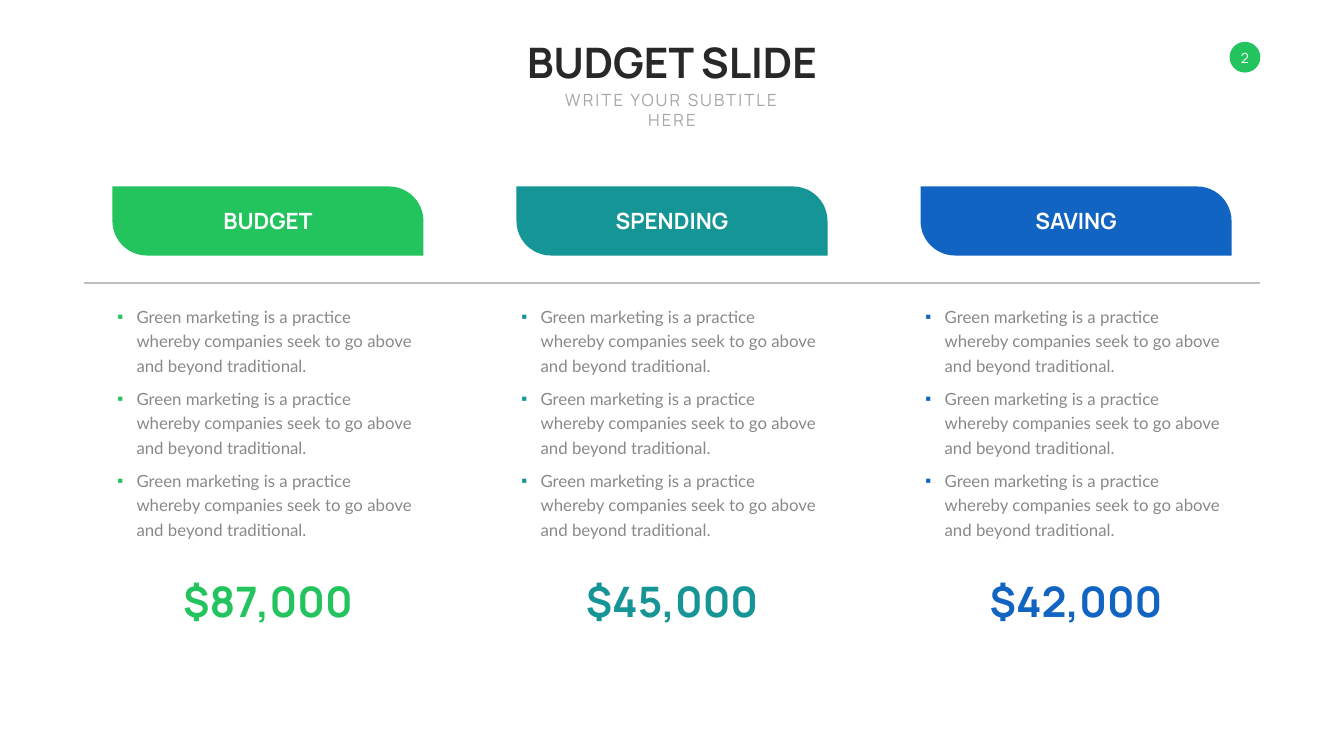
import pptx
import pptx.util
import pptx.dml.color
import pptx.enum.shapes
import pptx.enum.text
import pptx.oxml.ns
import lxml.etree

Inches = pptx.util.Inches
Pt = pptx.util.Pt
Align = pptx.enum.text.PP_ALIGN
Anchor = pptx.enum.text.MSO_ANCHOR
Shape = pptx.enum.shapes.MSO_SHAPE

COLORS = {
    "green": "23C35E", "teal": "159596", "blue": "1264C3", "white": "FFFFFF",
    "title": "272829", "subtitle": "A6A6A6", "rule": "BFBFBF", "body": "898989",
}
PAGE_NUMBER = "2"
TITLE = "BUDGET SLIDE"
SUBTITLE = "WRITE YOUR SUBTITLE HERE"
POINTS = ["Green marketing is a practice whereby companies seek to go above and beyond traditional."] * 3
COLUMNS = [
    {"heading": "BUDGET", "heading_width": 1.99, "amount": "$87,000", "amount_width": 3.64, "color": "green"},
    {"heading": "SPENDING", "heading_width": 2.48, "amount": "$45,000", "amount_width": 3.76, "color": "teal"},
    {"heading": "SAVING", "heading_width": 1.95, "amount": "$42,000", "amount_width": 3.7, "color": "blue"},
]

SLIDE_WIDTH, SLIDE_HEIGHT = 26.66, 15
CENTER = SLIDE_WIDTH / 2
COLUMN_WIDTH = 6.17
COLUMN_PITCH = 8.015
BULLET_INDENT = 0.38


def rgb(color):
    return pptx.dml.color.RGBColor.from_string(COLORS[color])


def add_child(parent, tag, **attributes):
    return lxml.etree.SubElement(parent, pptx.oxml.ns.qn(tag), attributes)


def add_run(paragraph, text, size, font, color, bold=False):
    run = paragraph.add_run()
    run.text = text
    run.font.size = Pt(size)
    run.font.name = font
    run.font.bold = bold
    run.font.color.rgb = rgb(color)
    return run


def add_frame(slide, left, top, width, height, wrap, anchor=Anchor.TOP):
    frame = slide.shapes.add_textbox(Inches(left), Inches(top), Inches(width), Inches(height)).text_frame
    frame.word_wrap = wrap
    frame.auto_size = pptx.enum.text.MSO_AUTO_SIZE.SHAPE_TO_FIT_TEXT
    frame.vertical_anchor = anchor
    return frame


def add_label(slide, text, center, top, width, height, size, color, bold=True, wrap=False, anchor=Anchor.MIDDLE):
    frame = add_frame(slide, center - width / 2, top, width, height, wrap, anchor)
    paragraph = frame.paragraphs[0]
    paragraph.alignment = Align.CENTER
    return frame, add_run(paragraph, text, size, "Manrope", color, bold)


def add_filled(slide, kind, left, top, width, height, color):
    shape = slide.shapes.add_shape(kind, Inches(left), Inches(top), Inches(width), Inches(height))
    shape.shadow.inherit = False
    shape.fill.solid()
    shape.fill.fore_color.rgb = rgb(color)
    shape.line.fill.background()
    return shape


def add_points(slide, left, color):
    frame = add_frame(slide, left, 5.95, COLUMN_WIDTH, 4.8, True)
    frame.margin_right = Inches(0.15)
    for index, point in enumerate(POINTS):
        paragraph = frame.add_paragraph() if index else frame.paragraphs[0]
        properties = paragraph._p.get_or_add_pPr()
        properties.set("marL", str(Inches(BULLET_INDENT)))
        properties.set("indent", str(-Inches(BULLET_INDENT)))
        add_child(add_child(properties, "a:buClr"), "a:srgbClr", val=COLORS[color])
        add_child(properties, "a:buFont", typeface="Arial")
        add_child(properties, "a:buChar", char="▪")
        paragraph.line_spacing = Pt(35)
        if index:
            paragraph.space_before = Pt(12)
        add_run(paragraph, point, 24, "Lato", "body")


def add_header(slide):
    add_filled(slide, Shape.OVAL, 24.39, 0.83, 0.61, 0.61, "green")
    number, _ = add_label(slide, PAGE_NUMBER, 24.695, 0.97, 0.41, 0.34, 20, "white", bold=False)
    number.margin_left = number.margin_right = number.margin_top = number.margin_bottom = 0
    add_label(slide, TITLE, CENTER, 0.67, 5.97, 1.11, 60, "title", anchor=Anchor.TOP)
    _, subtitle = add_label(slide, SUBTITLE, CENTER, 1.73, 5.43, 0.5, 24, "subtitle",
                            bold=False, wrap=True, anchor=Anchor.TOP)
    subtitle.font._element.set("spc", "300")


def add_rule(slide):
    rule = slide.shapes.add_connector(pptx.enum.shapes.MSO_CONNECTOR.STRAIGHT,
                                      Inches(1.66), Inches(5.62), Inches(25), Inches(5.62))
    rule.line.color.rgb = rgb("rule")
    rule.line.width = Pt(3)
    add_child(rule._element.spPr, "a:effectLst")


def add_column(slide, column, center):
    left = center - COLUMN_WIDTH / 2
    color = column["color"]
    banner = add_filled(slide, Shape.ROUND_2_DIAG_RECTANGLE, left, 3.7, COLUMN_WIDTH, 1.37, color)
    banner.adjustments[0] = 0
    banner.adjustments[1] = 0.5
    add_label(slide, column["heading"], center, 4.06, column["heading_width"], 0.64, 32, "white")
    add_points(slide, left, color)
    add_label(slide, column["amount"], center, 11.36, column["amount_width"], 1.11, 60, color)


def main():
    presentation = pptx.Presentation()
    presentation.slide_width = Inches(SLIDE_WIDTH)
    presentation.slide_height = Inches(SLIDE_HEIGHT)
    slide = presentation.slides.add_slide(presentation.slide_layouts[6])
    add_header(slide)
    add_rule(slide)
    for index, column in enumerate(COLUMNS):
        add_column(slide, column, CENTER + (index - 1) * COLUMN_PITCH)
    presentation.save("out.pptx")


if __name__ == "__main__":
    main()
